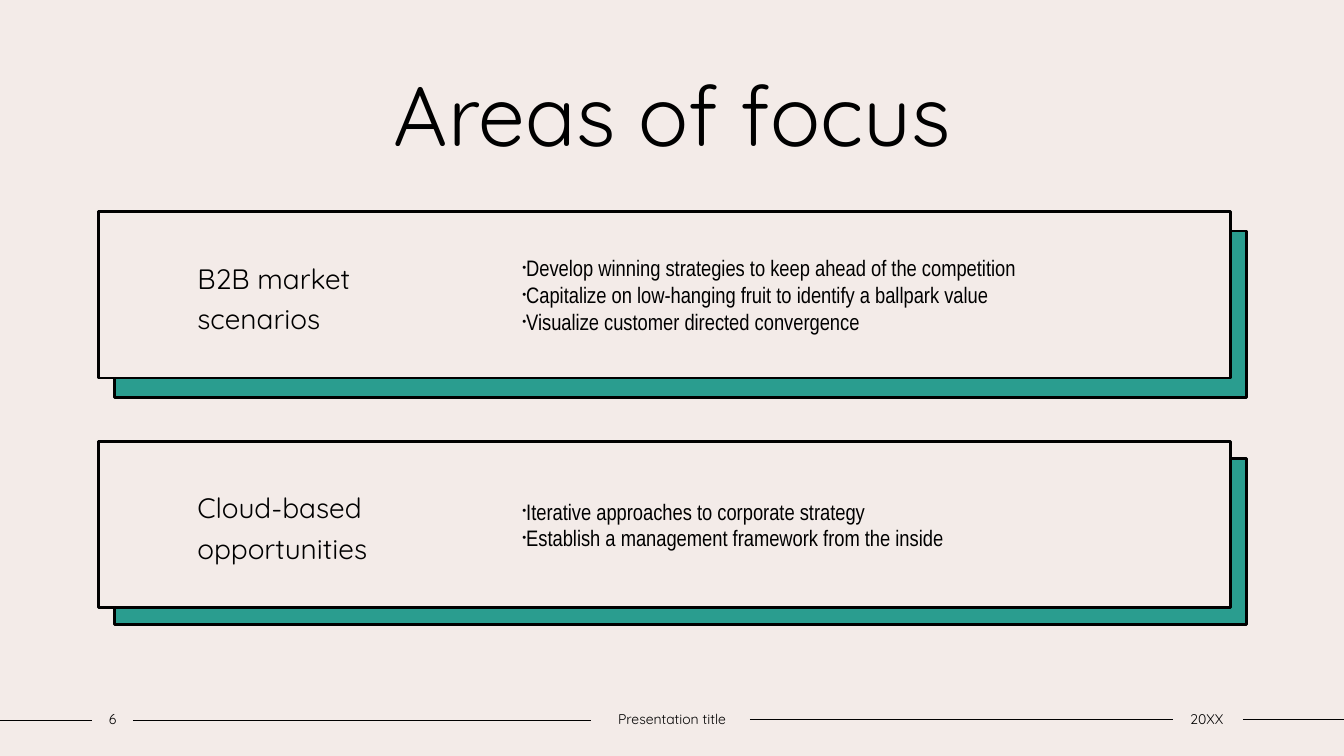
from lxml.etree import SubElement
from pptx import Presentation
from pptx.dml.color import RGBColor
from pptx.enum.shapes import MSO_CONNECTOR, MSO_SHAPE
from pptx.enum.text import MSO_ANCHOR, MSO_AUTO_SIZE, PP_ALIGN
from pptx.oxml.ns import qn
from pptx.util import Pt

INK, PAPER, TEAL = "000000", "F3EBE8", "2A9D8F"
HEAD, BODY = "Quicksand", "Arial Narrow"
LEFT, WIDE, HIGH = 70.5, 808.5, 119


def tint(code):
    return RGBColor.from_string(code)


def style(frame, face, size, align=PP_ALIGN.LEFT, space=None):
    frame.word_wrap = True
    frame.auto_size = MSO_AUTO_SIZE.NONE
    frame.vertical_anchor = MSO_ANCHOR.MIDDLE
    for para in frame.paragraphs:
        para.alignment = align
        para.line_spacing = space
        for run in para.runs:
            run.font.name = face
            run.font.size = Pt(size)
            run.font.color.rgb = tint(INK)


def add_title(slide, text):
    title = slide.shapes.title
    title.left, title.top = Pt(90), Pt(40.5)
    title.width, title.height = Pt(780.5), Pt(80)
    title.text_frame.text = text
    style(title.text_frame, HEAD, 60, PP_ALIGN.CENTER)


def add_rule(slide, start, end, y):
    rule = slide.shapes.add_connector(
        MSO_CONNECTOR.STRAIGHT, Pt(start), Pt(y), Pt(end), Pt(y))
    rule.line.color.rgb = tint(INK)
    rule.line.width = Pt(1)
    SubElement(rule._element.spPr, qn("a:effectLst"))


def add_box(slide, x, y, fill):
    box = slide.shapes.add_shape(
        MSO_SHAPE.RECTANGLE, Pt(x), Pt(y), Pt(WIDE), Pt(HIGH))
    box.shadow.inherit = False
    box.fill.solid()
    box.fill.fore_color.rgb = tint(fill)
    box.line.color.rgb = tint(INK)
    box.line.width = Pt(2)
    return box


def add_bullet(para):
    props = para._p.get_or_add_pPr()
    props.set("marL", "0")
    props.set("indent", str(-Pt(10.8)))
    SubElement(props, qn("a:buSzPct"), val="50000")
    SubElement(props, qn("a:buFont"), typeface="Arial")
    SubElement(props, qn("a:buChar"), char="•")


def add_list(slide, y, items):
    frame = slide.shapes.add_textbox(
        Pt(366), Pt(y), Pt(504.5), Pt(104.5)).text_frame
    frame.text = "\n".join(items)
    for para in frame.paragraphs:
        add_bullet(para)
    style(frame, BODY, 16)


def add_panel(slide, y, drop, name, items):
    add_box(slide, LEFT + 11.5, y + drop, TEAL)
    frame = add_box(slide, LEFT, y, PAPER).text_frame
    frame.margin_left, frame.margin_right = Pt(70.5), Pt(511)
    frame.text = name
    style(frame, HEAD, 20, space=1.2)
    add_list(slide, y + 7.2, items)


def add_note(slide, x, width, text):
    frame = slide.shapes.add_textbox(
        Pt(x), Pt(504), Pt(width), Pt(19.5)).text_frame
    frame.margin_left = frame.margin_right = 0
    frame.text = text
    style(frame, HEAD, 10, PP_ALIGN.CENTER)


def main():
    deck = Presentation()
    deck.slide_width, deck.slide_height = Pt(960), Pt(540)
    slide = deck.slides.add_slide(deck.slide_layouts[5])
    slide.background.fill.solid()
    slide.background.fill.fore_color.rgb = tint(PAPER)
    add_title(slide, "Areas of focus")

    # Focus panels
    add_panel(slide, 151, 14, "B2B market \vscenarios", [
        "Develop winning strategies to keep ahead of the competition",
        "Capitalize on low-hanging fruit to identify a ballpark value",
        "Visualize customer directed convergence"])
    add_panel(slide, 315.2, 12.2, "Cloud-based opportunities", [
        "Iterative approaches to corporate strategy",
        "Establish a management framework from the inside"])

    # Footer rules
    for start, end, y in [(0, 66, 514.6), (95, 422.5, 514.6),
                          (535.7, 838, 513.9), (887.8, 960, 513.9)]:
        add_rule(slide, start, end, y)

    # Footer text
    for x, width, text in [(66, 29, "6"), (422.5, 115, "Presentation title"),
                           (836.8, 50.4, "20XX")]:
        add_note(slide, x, width, text)

    deck.save("out.pptx")


if __name__ == "__main__":
    main()
